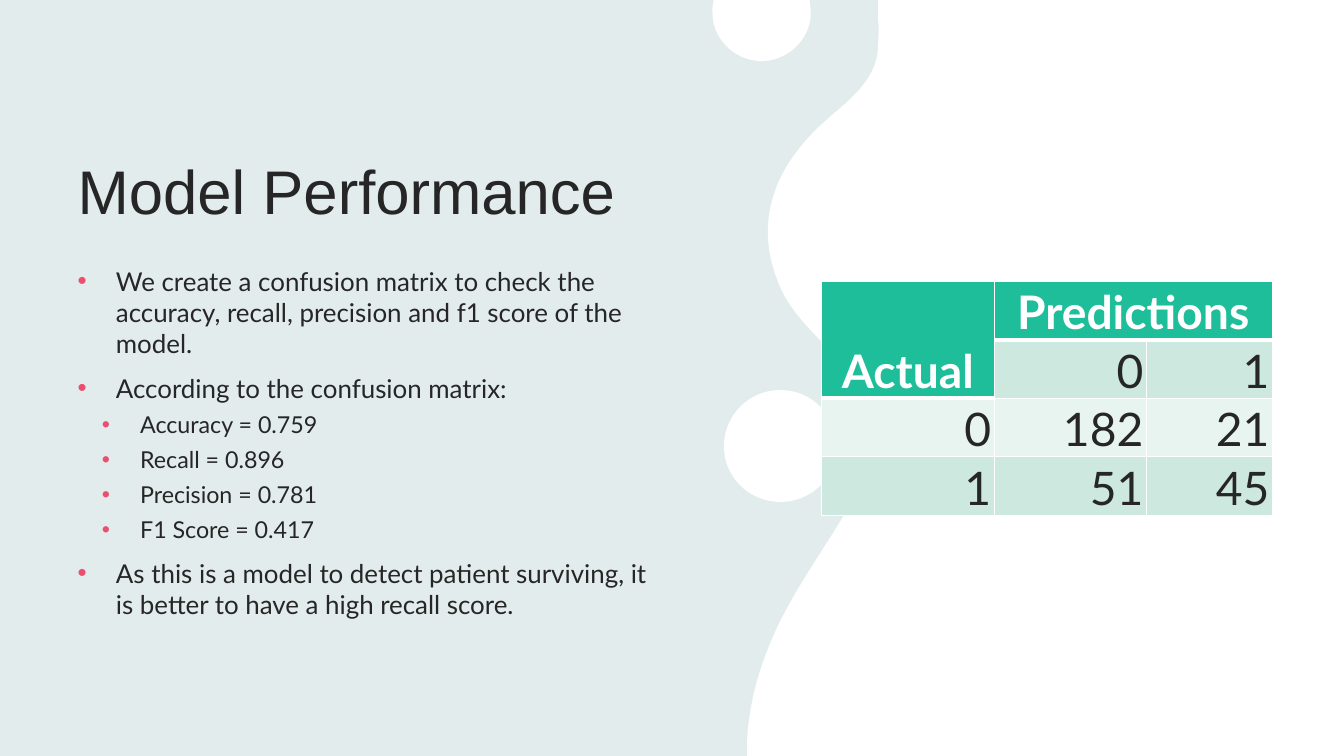
import pptx
import pptx.util
import pptx.dml.color
import pptx.enum.text
from pptx.oxml.ns import qn
from lxml import etree

Inches = pptx.util.Inches
Pt = pptx.util.Pt
ANCHOR = pptx.enum.text.MSO_ANCHOR
ALIGN = pptx.enum.text.PP_ALIGN

BACKGROUND, WHITE, INK = "E3ECEC", "FFFFFF", "262626"
ACCENT, HEADER = "EC4E70", "1EBE9B"
BANDS = ("E8F4EF", "CDE8DE")

HEADING = "Model Performance"
HEADING_BOX = (0.67, 0.57, 5.87, 1.73)
POINTS_BOX = (0.67, 2.58, 5.86, 4.15)
POINTS = [
    (0, "We create a confusion matrix to check the accuracy, recall, precision and f1 score of the model."),
    (0, "According to the confusion matrix:"),
    (1, "Accuracy = 0.759"),
    (1, "Recall = 0.896"),
    (1, "Precision = 0.781"),
    (1, "F1 Score = 0.417"),
    (0, "As this is a model to detect patient surviving, it is better to have a high recall score."),
]
LEVELS = [
    {"size": 18.5, "before": 10, "left": 0.38},
    {"size": 16.6, "before": 5, "left": 0.62},
]
HANGING = 0.38

MATRIX = [
    ("Actual", "Predictions", ""),
    ("", "0", "1"),
    ("0", "182", "21"),
    ("1", "51", "45"),
]
MATRIX_BOX = (8.15, 2.79, 4.47, 2.32)
MATRIX_WIDTHS = (1.71, 1.51, 1.25)
LAST_HEADER_ROW = (1, 0, 0)
CELL_FORMAT = {
    "margin_left": Inches(0.03), "margin_right": Inches(0.03),
    "margin_top": Inches(0.03), "margin_bottom": 0,
    "vertical_anchor": ANCHOR.BOTTOM,
}

WAVE = [
    ((7.74, 3.87), [
        (8.05, 3.87, 8.3, 4.12, 8.3, 4.43), (8.3, 4.73, 8.05, 4.98, 7.74, 4.98),
        (7.43, 4.98, 7.18, 4.73, 7.18, 4.43), (7.18, 4.12, 7.43, 3.87, 7.74, 3.87)]),
    ((8.71, 0), [
        (13.33, 0), (13.33, 7.5), (7.41, 7.5), (7.41, 7.34),
        (7.43, 6.96, 7.54, 6.58, 7.72, 6.2), (7.91, 5.81, 8.17, 5.45, 8.39, 5.08),
        (8.7, 4.54, 8.72, 3.96, 8.22, 3.46), (8.03, 3.27, 7.83, 3.07, 7.73, 2.83),
        (7.47, 2.22, 7.66, 1.65, 8.22, 1.17), (8.45, 0.97, 8.7, 0.78, 8.71, 0.46),
        (8.71, 0.37, 8.72, 0.29, 8.71, 0.2)]),
    ((7.08, 0), [
        (8.03, 0), (8.04, 0.09),
        (8.06, 0.31, 7.91, 0.52, 7.68, 0.59), (7.42, 0.66, 7.15, 0.5, 7.08, 0.24),
        (7.07, 0.18, 7.06, 0.11, 7.07, 0.05)]),
]
CURVE_STEPS = 16


def rgb(value):
    return pptx.dml.color.RGBColor.from_string(value)


def apply(target, settings):
    for name, value in settings.items():
        setattr(target, name, value)


def place(item, box):
    apply(item, dict(zip(("left", "top", "width", "height"), map(Inches, box))))


def paint(item, value):
    item.fill.solid()
    item.fill.fore_color.rgb = rgb(value)


def write(paragraph, text, size, font="Lato", ink=INK, bold=False):
    run = paragraph.add_run()
    run.text = text
    apply(run.font, {"size": Pt(size), "name": font, "bold": bold})
    run.font.color.rgb = rgb(ink)


def bullet(paragraph, left):
    props = paragraph._p.get_or_add_pPr()
    props.set("marL", str(Inches(left)))
    props.set("indent", str(-Inches(HANGING)))
    color = etree.SubElement(props, qn("a:buClr"))
    etree.SubElement(color, qn("a:srgbClr"), val=ACCENT)
    etree.SubElement(props, qn("a:buFont"), typeface="Arial")
    etree.SubElement(props, qn("a:buChar"), char="•")


def border(cell, widths):
    props = cell._tc.get_or_add_tcPr()
    for position, (side, width) in enumerate(widths.items()):
        line = etree.Element(qn("a:ln" + side), w=str(Pt(width)))
        fill = etree.SubElement(line, qn("a:solidFill"))
        etree.SubElement(fill, qn("a:srgbClr"), val=WHITE)
        props.insert(position, line)


def outline(start, segments):
    points, here = [], start
    for segment in segments:
        if len(segment) == 2:
            points.append(segment)
        else:
            knots = (here, segment[:2], segment[2:4], segment[4:])
            for step in range(1, CURVE_STEPS + 1):
                t = step / CURVE_STEPS
                weights = ((1 - t) ** 3, 3 * t * (1 - t) ** 2, 3 * t * t * (1 - t), t ** 3)
                points.append(tuple(sum(w * k[axis] for w, k in zip(weights, knots)) for axis in (0, 1)))
        here = segment[-2:]
    return [(Inches(x), Inches(y)) for x, y in points]


def add_wave(slide):
    builder = None
    for start, segments in WAVE:
        x, y = map(Inches, start)
        if builder is None:
            builder = slide.shapes.build_freeform(x, y, scale=1.0)
        else:
            builder.move_to(x, y)
        builder.add_line_segments(outline(start, segments), close=True)
    wave = builder.convert_to_shape()
    wave.shadow.inherit = False
    paint(wave, WHITE)
    wave.line.fill.background()


def add_text(slide):
    heading, points = slide.shapes.title, slide.placeholders[1]
    place(heading, HEADING_BOX)
    place(points, POINTS_BOX)
    for frame, anchor in ((heading.text_frame, ANCHOR.BOTTOM), (points.text_frame, ANCHOR.TOP)):
        apply(frame, {"word_wrap": True, "vertical_anchor": anchor,
                      "auto_size": pptx.enum.text.MSO_AUTO_SIZE.NONE})
    line = heading.text_frame.paragraphs[0]
    line.alignment = ALIGN.LEFT
    write(line, HEADING, 44, "Arial")
    for index, (level, text) in enumerate(POINTS):
        frame = points.text_frame
        point = frame.add_paragraph() if index else frame.paragraphs[0]
        style = LEVELS[level]
        apply(point, {"level": level, "space_before": Pt(style["before"])})
        bullet(point, style["left"])
        write(point, text, style["size"])


def add_matrix(slide):
    matrix = slide.shapes.add_table(len(MATRIX), len(MATRIX_WIDTHS), *map(Inches, MATRIX_BOX)).table
    for column, width in zip(matrix.columns, MATRIX_WIDTHS):
        column.width = Inches(width)
    matrix.cell(0, 0).merge(matrix.cell(1, 0))
    matrix.cell(0, 1).merge(matrix.cell(0, 2))
    for r, row in enumerate(MATRIX):
        for c, text in enumerate(row):
            cell, last = matrix.cell(r, c), LAST_HEADER_ROW[c]
            header = r <= last
            apply(cell, CELL_FORMAT)
            paint(cell, HEADER if header else BANDS[r % 2])
            border(cell, {"L": 1, "R": 1, "T": 3 if r == last + 1 else 1, "B": 3 if r == last else 1})
            if text:
                line = cell.text_frame.paragraphs[0]
                line.alignment = ALIGN.CENTER if header else ALIGN.RIGHT
                write(line, text, 33, ink=WHITE if header else INK, bold=header)


def main():
    deck = pptx.Presentation()
    apply(deck, {"slide_width": Inches(13.33), "slide_height": Inches(7.5)})
    slide = deck.slides.add_slide(deck.slide_layouts[1])
    paint(slide.background, BACKGROUND)
    add_wave(slide)
    add_text(slide)
    add_matrix(slide)
    deck.save("out.pptx")


if __name__ == "__main__":
    main()
